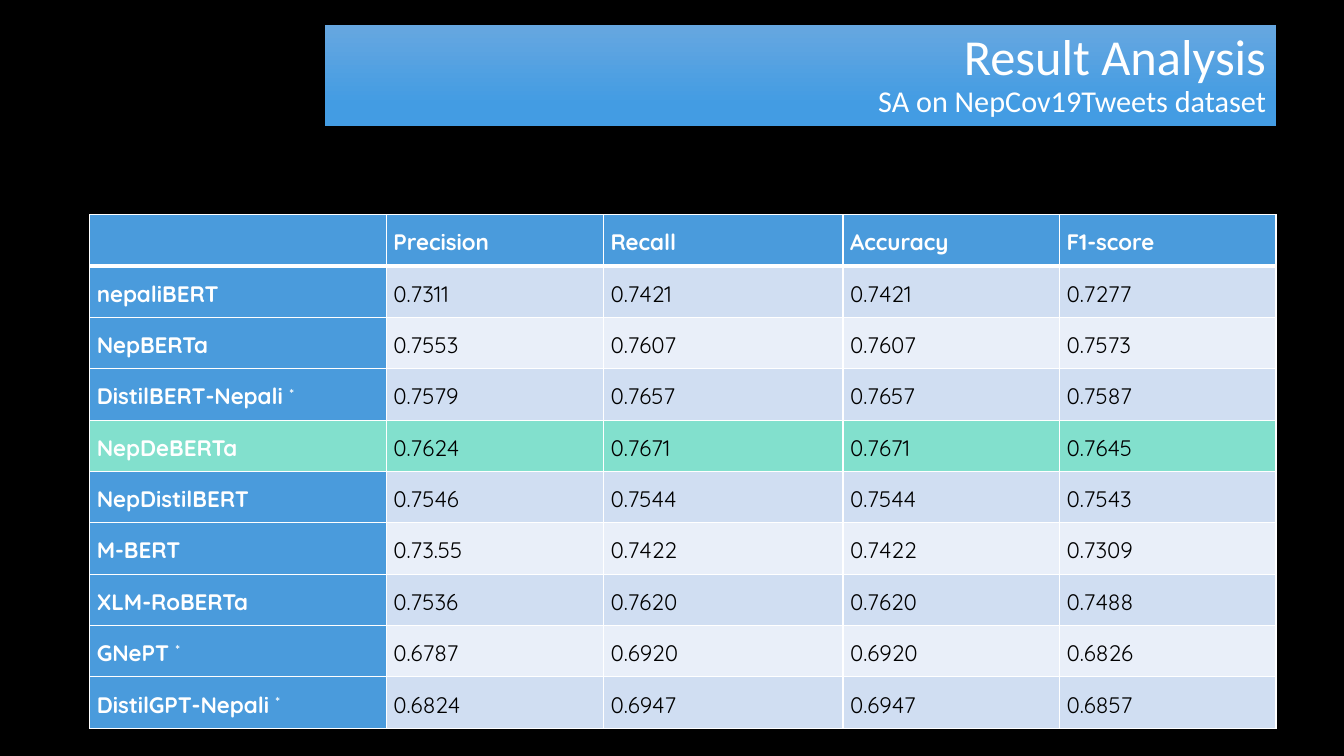
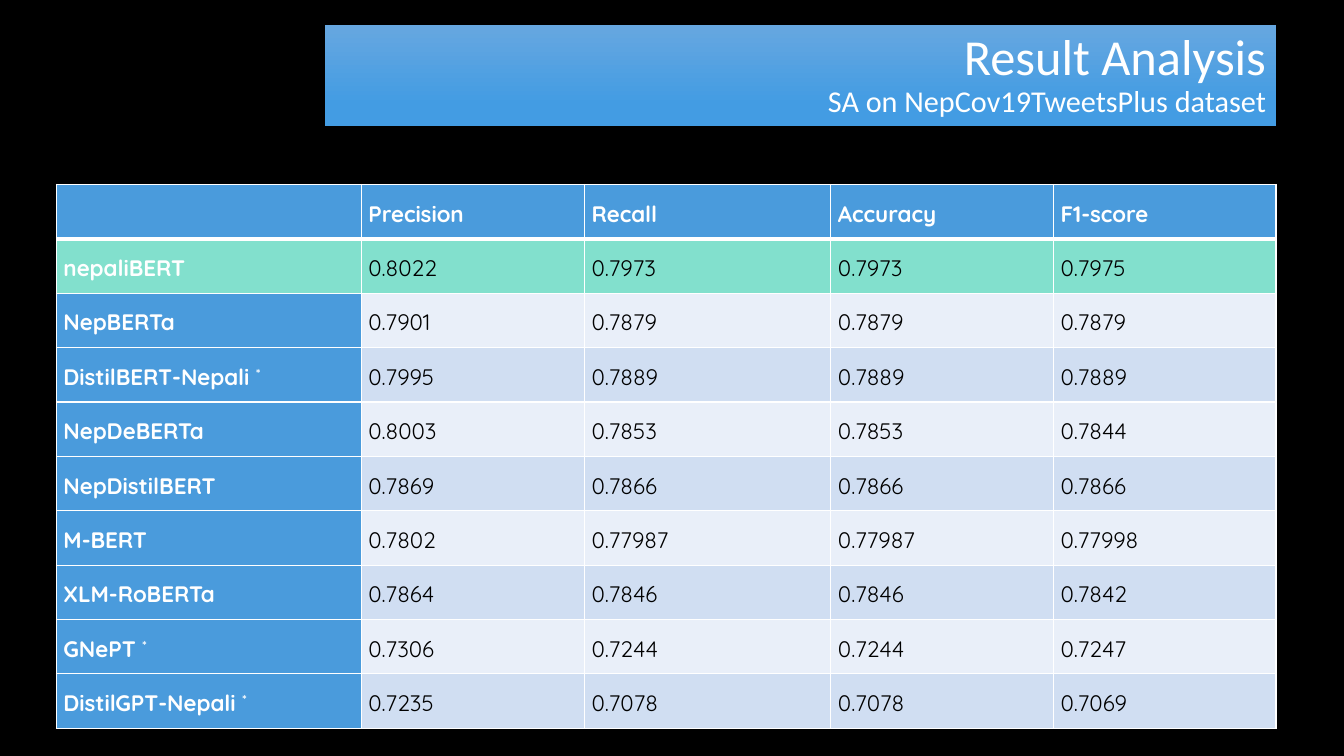
from dataclasses import dataclass

from lxml.etree import SubElement
from pptx import Presentation
from pptx.dml.color import RGBColor
from pptx.enum.shapes import MSO_SHAPE
from pptx.enum.text import MSO_ANCHOR, PP_ALIGN
from pptx.oxml.ns import qn
from pptx.util import Cm, Pt


@dataclass(frozen=True)
class Theme:
    background: str = "000000"
    light_text: str = "FFFFFF"
    dark_text: str = "000000"
    rule: str = "FFFFFF"
    band_top: str = "66A7E0"
    band_bottom: str = "439CE3"
    header: str = "4A9BDC"
    stripes: tuple = ("E9EFF9", "D0DEF2")
    best: str = "82E0CD"
    title_font: str = "Calibri"
    table_font: str = "Quicksand"
    title_size: float = 36
    subtitle_size: float = 21.6
    table_size: float = 16
    thin_rule: float = 1
    thick_rule: float = 3


RIGHT_EDGE = 32.16
TABLE_BOTTOM = 18.35
COLUMN_PERCENTS = (25, 18.3, 20.2, 18.25, 18.25)

METRICS = ("Precision", "Recall", "Accuracy", "F1-score")
MODELS = ("nepaliBERT", "NepBERTa", "DistilBERT-Nepali *", "NepDeBERTa",
          "NepDistilBERT", "M-BERT", "XLM-RoBERTa", "GNePT *",
          "DistilGPT-Nepali *")

TWEETS_SCORES = (
    ("0.7311", "0.7421", "0.7421", "0.7277"),
    ("0.7553", "0.7607", "0.7607", "0.7573"),
    ("0.7579", "0.7657", "0.7657", "0.7587"),
    ("0.7624", "0.7671", "0.7671", "0.7645"),
    ("0.7546", "0.7544", "0.7544", "0.7543"),
    ("0.73.55", "0.7422", "0.7422", "0.7309"),
    ("0.7536", "0.7620", "0.7620", "0.7488"),
    ("0.6787", "0.6920", "0.6920", "0.6826"),
    ("0.6824", "0.6947", "0.6947", "0.6857"),
)
TWEETS_PLUS_SCORES = (
    ("0.8022", "0.7973", "0.7973", "0.7975"),
    ("0.7901", "0.7879", "0.7879", "0.7879"),
    ("0.7995", "0.7889", "0.7889", "0.7889"),
    ("0.8003", "0.7853", "0.7853", "0.7844"),
    ("0.7869", "0.7866", "0.7866", "0.7866"),
    ("0.7802", "0.77987", "0.77987", "0.77998"),
    ("0.7864", "0.7846", "0.7846", "0.7842"),
    ("0.7306", "0.7244", "0.7244", "0.7247"),
    ("0.7235", "0.7078", "0.7078", "0.7069"),
)


class Deck:
    def __init__(self, theme):
        self.theme = theme
        self.presentation = Presentation()
        self.presentation.slide_width = Cm(33.87)
        self.presentation.slide_height = Cm(19.05)
        self.slide = None

    def new_slide(self):
        blank = self.presentation.slide_layouts[6]
        self.slide = self.presentation.slides.add_slide(blank)
        fill = self.slide.background.fill
        fill.solid()
        fill.fore_color.rgb = RGBColor.from_string(self.theme.background)

    def title_band(self, title, subtitle):
        theme = self.theme
        left = 8.18
        band = self.slide.shapes.add_shape(
            MSO_SHAPE.RECTANGLE, Cm(left), Cm(0.64), Cm(RIGHT_EDGE - left), Cm(2.54))
        band.shadow.inherit = False
        band.line.fill.background()
        band.fill.gradient()
        band.fill.gradient_angle = 270
        stops = ((0, theme.band_top), (0.78, theme.band_bottom))
        for stop, (position, color) in zip(band.fill.gradient_stops, stops):
            stop.position = position
            stop.color.rgb = RGBColor.from_string(color)

        band.text_frame.vertical_anchor = MSO_ANCHOR.MIDDLE
        heading = band.text_frame.paragraphs[0]
        heading.alignment = PP_ALIGN.RIGHT
        heading.line_spacing = 0.9
        heading.font.name = theme.title_font
        heading.font.color.rgb = RGBColor.from_string(theme.light_text)
        title_run = heading.add_run()
        title_run.text = title
        title_run.font.size = Pt(theme.title_size)
        heading.add_line_break()
        subtitle_run = heading.add_run()
        subtitle_run.text = subtitle
        subtitle_run.font.size = Pt(theme.subtitle_size)

    def score_table(self, left, top, scores, best_model):
        """Fill the area down to the shared right and bottom edges."""
        theme = self.theme
        rows = [("", *METRICS)]
        rows += [(model, *values) for model, values in zip(MODELS, scores)]
        width, height = RIGHT_EDGE - left, TABLE_BOTTOM - top
        table = self.slide.shapes.add_table(
            len(rows), len(COLUMN_PERCENTS),
            Cm(left), Cm(top), Cm(width), Cm(height)).table
        table.first_col = True
        table.horz_banding = False
        for column, percent in zip(table.columns, COLUMN_PERCENTS):
            column.width = Cm(width * percent / 100)

        for row_index, row in enumerate(rows):
            table.rows[row_index].height = Cm(height / len(rows))
            for column_index, text in enumerate(row):
                is_header = row_index == 0 or column_index == 0
                if row[0] == best_model:
                    color = theme.best
                elif is_header:
                    color = theme.header
                else:
                    color = theme.stripes[row_index % 2]
                cell = table.cell(row_index, column_index)
                self.cell_borders(cell, row_index)
                cell.fill.solid()
                cell.fill.fore_color.rgb = RGBColor.from_string(color)
                self.cell_text(cell, text, is_header)

    def cell_borders(self, cell, row_index):
        """Draw thin rules, with a thick one below the header row."""
        thick_side = {0: "lnB", 1: "lnT"}.get(row_index)
        properties = cell._tc.get_or_add_tcPr()
        for side in ("lnL", "lnR", "lnT", "lnB"):
            weight = self.theme.thick_rule if side == thick_side else self.theme.thin_rule
            line = SubElement(properties, qn(f"a:{side}"), w=str(Pt(weight)))
            solid = SubElement(line, qn("a:solidFill"))
            SubElement(solid, qn("a:srgbClr"), val=self.theme.rule)

    def cell_text(self, cell, text, is_header):
        """Write the text, raising a closing asterisk."""
        theme = self.theme
        cell.vertical_anchor = MSO_ANCHOR.MIDDLE
        cell.margin_left = cell.margin_right = Cm(0.18)
        cell.margin_top = cell.margin_bottom = Cm(0)
        paragraph = cell.text_frame.paragraphs[0]
        paragraph.line_spacing = 1.15
        paragraph.font.name = theme.table_font
        paragraph.font.size = Pt(theme.table_size)
        paragraph.font.bold = is_header
        paragraph.font.color.rgb = RGBColor.from_string(
            theme.light_text if is_header else theme.dark_text)
        label, asterisk, _ = text.partition("*")
        if label:
            paragraph.add_run().text = label
        if asterisk:
            mark = paragraph.add_run()
            mark.text = asterisk
            mark.font._element.set("baseline", "30000")


def main():
    deck = Deck(Theme())
    results = (
        ("NepCov19Tweets", 2.26, 5.41, TWEETS_SCORES, "NepDeBERTa"),
        ("NepCov19TweetsPlus", 1.42, 4.65, TWEETS_PLUS_SCORES, "nepaliBERT"),
    )
    for dataset, left, top, scores, best_model in results:
        deck.new_slide()
        deck.title_band("Result Analysis", f"SA on {dataset} dataset")
        deck.score_table(left, top, scores, best_model)
    deck.presentation.save("out.pptx")


if __name__ == "__main__":
    main()
